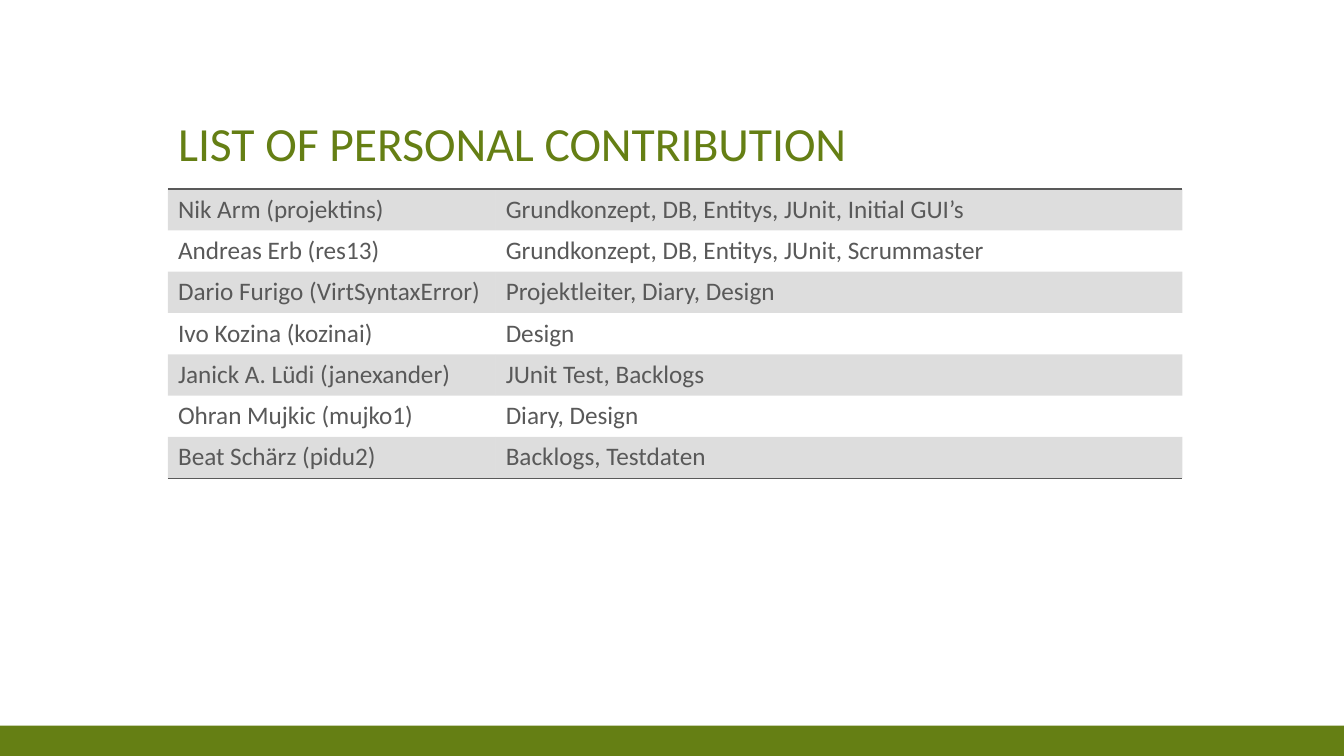
from lxml.etree import SubElement
from pptx import Presentation
from pptx.dml.color import RGBColor
from pptx.enum.shapes import MSO_SHAPE as Shape
from pptx.enum.text import MSO_ANCHOR as Anchor, MSO_AUTO_SIZE as AutoSize, PP_ALIGN as Align
from pptx.oxml.ns import qn
from pptx.util import Inches, Pt

WIDTH, HEIGHT = Inches(13.33), Inches(7.5)
LEFT = WIDTH / 8
GREEN, GREY = "657F14", "595959"
FONT = "Calibri"
COLUMNS = [Inches(3.25), Inches(6.81)]
ROW = Inches(0.41)
CONTRIBUTIONS = [
    ("Nik Arm (projektins)", "Grundkonzept, DB, Entitys, JUnit, Initial GUI’s"),
    ("Andreas Erb (res13)", "Grundkonzept, DB, Entitys, JUnit, Scrummaster"),
    ("Dario Furigo (VirtSyntaxError)", "Projektleiter, Diary, Design"),
    ("Ivo Kozina (kozinai)", "Design"),
    ("Janick A. Lüdi (janexander)", "JUnit Test, Backlogs"),
    ("Ohran Mujkic (mujko1)", "Diary, Design"),
    ("Beat Schärz (pidu2)", "Backlogs, Testdaten"),
]


def paint(fill, color):
    fill.solid()
    fill.fore_color.rgb = RGBColor.from_string(color)


def add_span(para, text, size, color):
    span = para.add_run()
    span.text = text
    span.font.name = FONT
    span.font.size = Pt(size)
    span.font.color.rgb = RGBColor.from_string(color)


def add_bar(page):
    height = HEIGHT * 0.04
    bar = page.shapes.add_shape(Shape.RECTANGLE, 0, int(HEIGHT - height), WIDTH, int(height))
    bar.shadow.inherit = False
    paint(bar.fill, GREEN)
    bar.line.fill.background()


def set_title(page, text):
    title = page.shapes.title
    title.left, title.top = int(LEFT), int(HEIGHT / 15)
    title.width, title.height = int(WIDTH * 0.75), int(HEIGHT / 6)
    frame = title.text_frame
    frame.word_wrap = True
    frame.auto_size = AutoSize.NONE
    frame.vertical_anchor = Anchor.BOTTOM
    para = frame.paragraphs[0]
    para.alignment = Align.LEFT
    para.line_spacing = 0.9
    add_span(para, text, 34, GREEN)


def set_borders(cell, ruled):
    """Draw a thin grey line on the ruled sides and none on the others."""
    props = cell._tc.get_or_add_tcPr()
    for position, side in enumerate("LRTB"):
        line = SubElement(props, qn(f"a:ln{side}"), w=str(Pt(1)))
        if side in ruled:
            fill = SubElement(line, qn("a:solidFill"))
            SubElement(fill, qn("a:srgbClr"), val=GREY)
        else:
            SubElement(line, qn("a:noFill"))
        props.insert(position, line)


def shade(cell):
    """Fill the cell with grey at 20% opacity."""
    paint(cell.fill, GREY)
    color = cell._tc.tcPr.find(f"{qn('a:solidFill')}/{qn('a:srgbClr')}")
    SubElement(color, qn("a:alpha"), val="20000")


def add_contributions(page):
    count = len(CONTRIBUTIONS)
    frame = page.shapes.add_table(count, len(COLUMNS), int(LEFT), int(HEIGHT / 4),
                                  sum(COLUMNS), ROW * count)
    table = frame.table
    table.first_row = table.horz_banding = False
    for column, width in zip(table.columns, COLUMNS):
        column.width = width
    for index, texts in enumerate(CONTRIBUTIONS):
        table.rows[index].height = ROW
        ruled = {0: "T", count - 1: "B"}.get(index, "")
        for cell, text in zip(table.rows[index].cells, texts):
            add_span(cell.text_frame.paragraphs[0], text, 18, GREY)
            if index % 2 == 0:
                shade(cell)
            else:
                cell.fill.background()
            set_borders(cell, ruled)


def main():
    deck = Presentation()
    deck.slide_width, deck.slide_height = WIDTH, HEIGHT
    page = deck.slides.add_slide(deck.slide_layouts[5])
    add_bar(page)
    set_title(page, "LIST OF PERSONAL CONTRIBUTION")
    add_contributions(page)
    deck.save("out.pptx")


if __name__ == "__main__":
    main()
